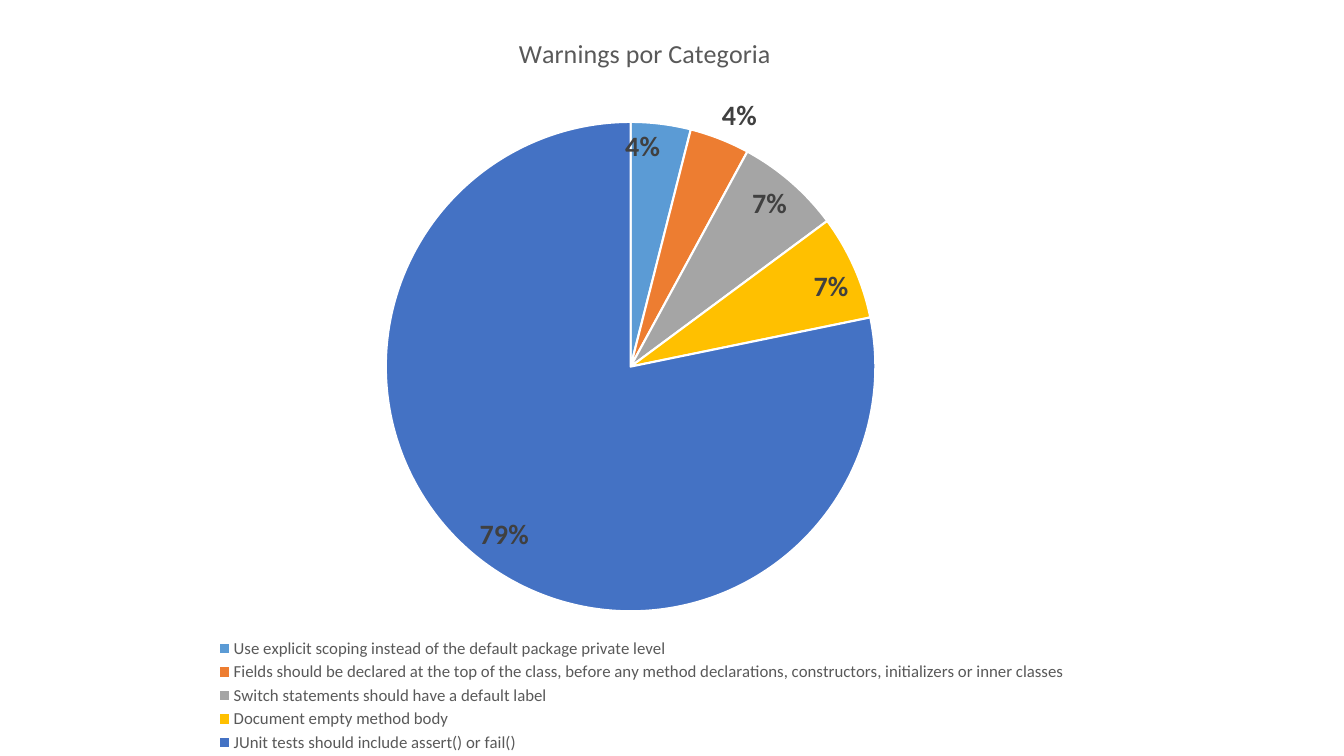
from lxml.etree import SubElement as Sub, Element as Elem
from pptx import Presentation
from pptx.chart.data import CategoryChartData as Data
from pptx.dml.color import RGBColor as Rgb
from pptx.enum.chart import XL_CHART_TYPE as Kind, XL_LABEL_POSITION as Spot
from pptx.enum.chart import XL_LEGEND_POSITION as Side
from pptx.oxml.ns import qn
from pptx.util import Inches, Pt

WIDE, HIGH = Inches(13.33), Inches(7.5)
FACE = "Calibri"
FORM = '0"%"'
TITLE = "Warnings por Categoria"
COLORS = {
    "blue": "5B9BD5", "orange": "ED7D31", "gray": "A5A5A5",
    "gold": "FFC000", "navy": "4472C4",
    "white": "FFFFFF", "text": "595959", "label": "404040", "black": "000000",
}
PARTS = [
    ("Use explicit scoping instead of the default package private level", 4, "blue"),
    ("Fields should be declared at the top of the class, before any method "
     "declarations, constructors, initializers or inner classes", 4, "orange"),
    ("Switch statements should have a default label", 7, "gray"),
    ("Document empty method body", 7, "gold"),
    ("JUnit tests should include assert() or fail()", 79, "navy"),
]


def color(name):
    return Rgb.from_string(COLORS[name])


def style(font, size, tint, bold=False):
    font.name, font.size, font.bold = FACE, Pt(size), bold
    font.color.rgb = color(tint)


def write(frame, text, **look):
    frame.text = text
    style(frame.paragraphs[0].runs[0].font, **look)


def place(node, inner=False, **share):
    for old in node.findall(qn("c:layout")):
        node.remove(old)
    layout = Elem(qn("c:layout"))
    manual = Sub(layout, qn("c:manualLayout"))
    if inner:
        Sub(manual, qn("c:layoutTarget")).set("val", "inner")
    for key in "xy":
        Sub(manual, qn(f"c:{key}Mode")).set("val", "edge")
    for key, val in share.items():
        Sub(manual, qn(f"c:{key}")).set("val", str(val))
    if inner:
        node.insert(0, layout)
    else:
        node[0].addnext(layout)


def add_pie(slide):
    data = Data(number_format=FORM)
    data.categories = [name for name, _, _ in PARTS]
    data.add_series(TITLE, [val for _, val, _ in PARTS])
    chart = slide.shapes.add_chart(
        Kind.PIE, Inches(0.59), 0, Inches(11.56), HIGH, data).chart
    style(chart.font, 10, "black")
    chart.plots[0].vary_by_categories = True
    return chart


def paint(series):
    for i, (_, _, tint) in enumerate(PARTS):
        form = series.points[i].format
        form.fill.solid()
        form.fill.fore_color.rgb = color(tint)
        form.line.color.rgb = color("white")
        form.line.width = Pt(1.5)


def label(series):
    tags = series.data_labels
    tags.show_value = True
    tags.number_format, tags.number_format_is_linked = FORM, False
    tags.position = Spot.INSIDE_END
    style(tags.font, 20, "label", bold=True)
    tag = series.points[1].data_label
    style(tag.font, 20, "label", bold=True)
    tag.position = Spot.OUTSIDE_END
    form = Elem(qn("c:numFmt"), formatCode=FORM, sourceLinked="0")
    series._element.find(".//" + qn("c:dLbl"))[0].addnext(form)


def add_key(chart):
    chart.has_legend = True
    key = chart.legend
    key.position, key.include_in_layout = Side.BOTTOM, False
    style(key.font, 12, "text")
    place(key._element, x=0.13, y=0.84, w=0.74, h=0.16)


def main():
    deck = Presentation()
    deck.slide_width, deck.slide_height = WIDE, HIGH
    slide = deck.slides.add_slide(deck.slide_layouts[6])
    chart = add_pie(slide)
    chart.has_title = True
    write(chart.chart_title.text_frame, TITLE, size=18.6, tint="text")
    place(chart.chart_title._element, x=0.39, y=0.04)
    series = chart.plots[0].series[0]
    paint(series)
    label(series)
    add_key(chart)
    area = chart._chartSpace.find(".//" + qn("c:plotArea"))
    place(area, inner=True, x=0.28, y=0.16, w=0.42, h=0.65)
    deck.save("out.pptx")


main()
